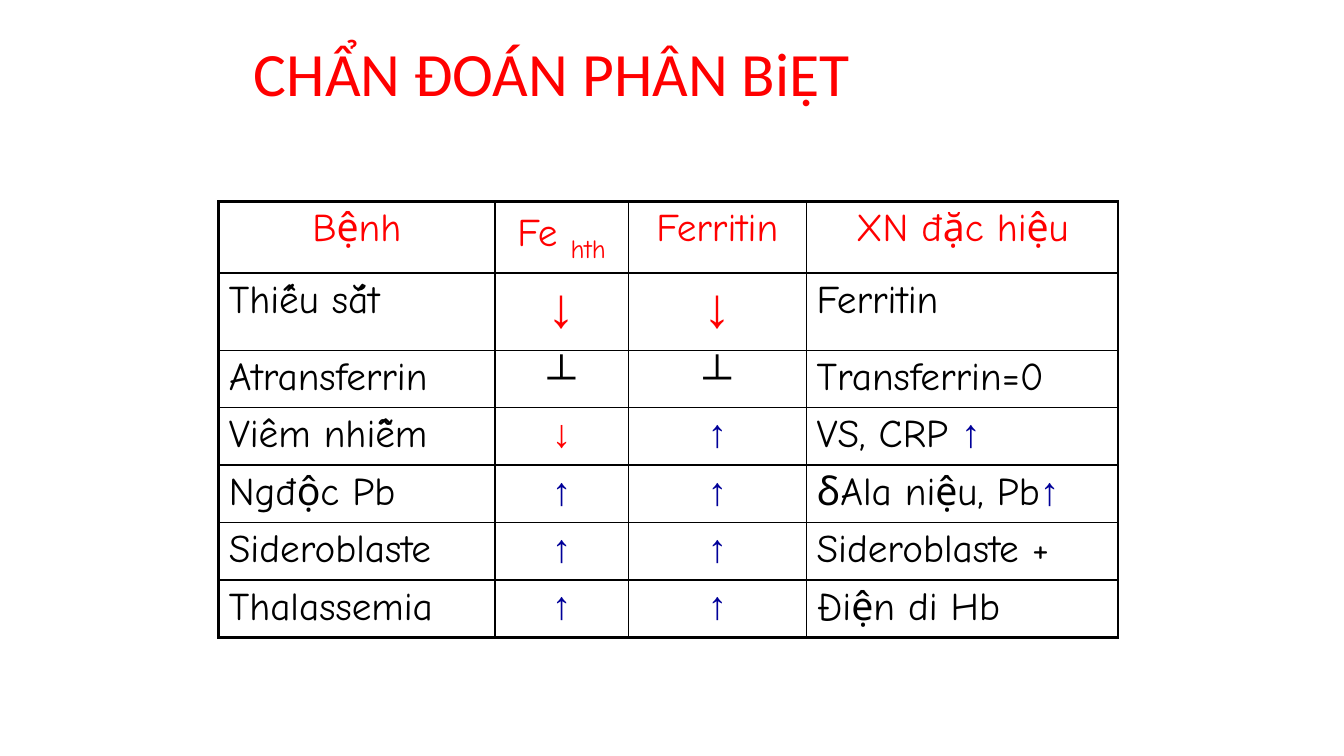
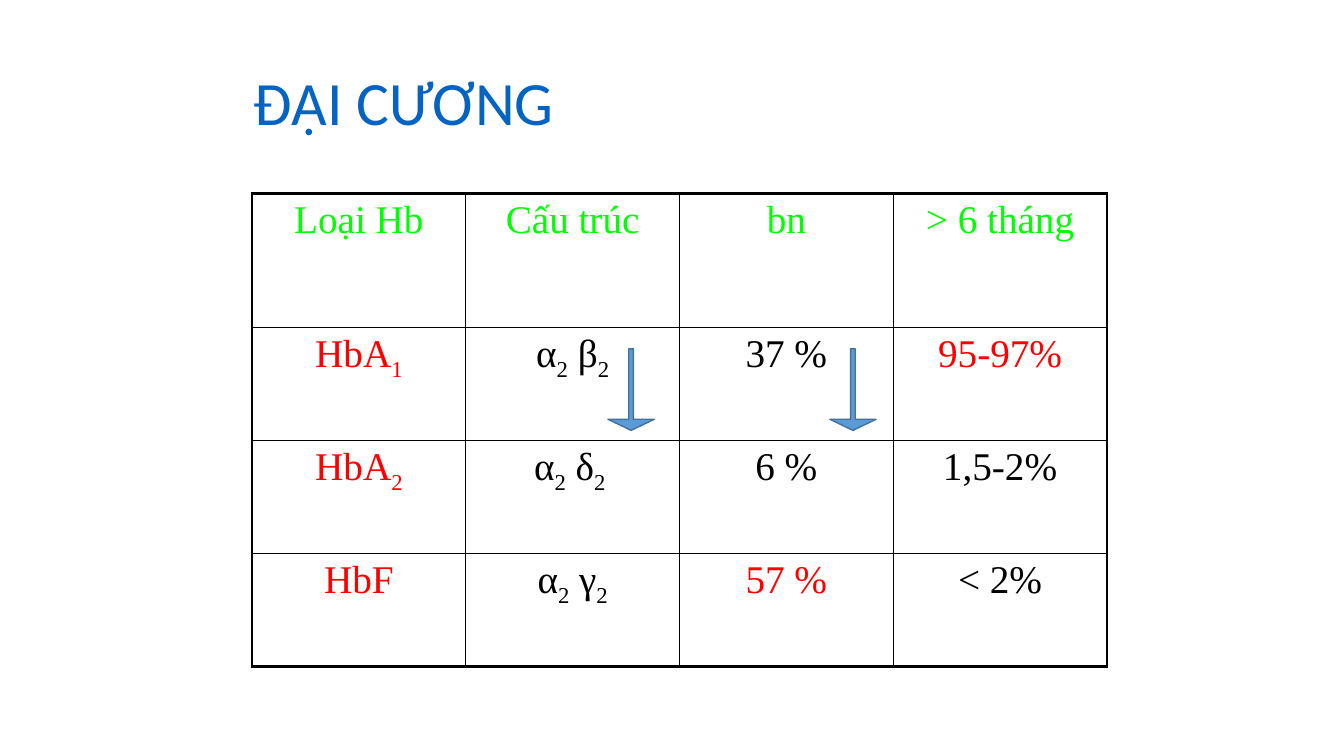
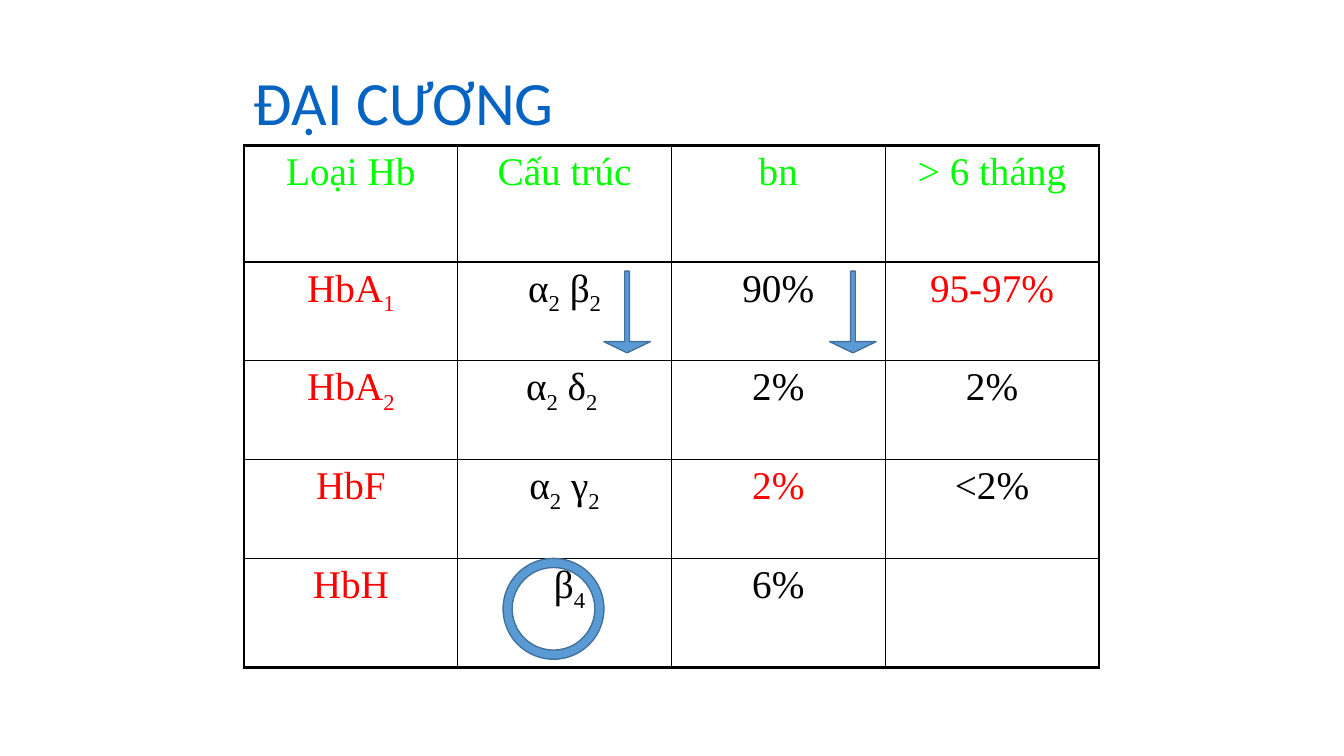
import dataclasses

import lxml.etree
import pptx
import pptx.dml.color
import pptx.enum.shapes
import pptx.enum.text
import pptx.oxml.ns
import pptx.util

Inches = pptx.util.Inches
Pt = pptx.util.Pt
Shapes = pptx.enum.shapes.MSO_SHAPE
Align = pptx.enum.text.PP_ALIGN


@dataclasses.dataclass(frozen=True)
class Theme:
    black: str = "000000"
    red: str = "FF0000"
    green: str = "00FF00"
    navy: str = "000099"
    title_blue: str = "0563C1"
    mark_fill: str = "5B9BD5"
    mark_line: str = "42719B"
    title_font: str = "Calibri"
    serif_font: str = "Times New Roman"
    comic_font: str = "Comic Neue"
    title_size: float = 44
    large_arrow_size: float = 40
    index_size: float = 32
    body_size: float = 28
    outer_border: float = 2.25
    inner_border: float = 1


THEME = Theme()


@dataclasses.dataclass(frozen=True)
class Run:
    text: str
    color: str = THEME.black
    font: str = THEME.serif_font
    size: float = THEME.body_size
    subscript: bool = False


def rgb(color):
    return pptx.dml.color.RGBColor.from_string(color)


def add_runs(para, runs):
    for run in runs:
        span = para.add_run()
        span.text = run.text
        span.font.name = run.font
        span.font.size = Pt(run.size)
        span.font.color.rgb = rgb(run.color)
        if run.subscript:
            span.font._element.set("baseline", "-25000")


def add_title(slide, text, color, left, top, width, height):
    box = slide.shapes.add_textbox(Inches(left), Inches(top), Inches(width), Inches(height))
    frame = box.text_frame
    frame.word_wrap = True
    frame.vertical_anchor = pptx.enum.text.MSO_ANCHOR.MIDDLE
    para = frame.paragraphs[0]
    para.line_spacing = 0.9
    add_runs(para, [Run(text, color, THEME.title_font, THEME.title_size)])


def set_borders(cell, widths):
    """Draw black borders; widths are points for left, right, top, bottom."""
    properties = cell._tc.get_or_add_tcPr()
    qn = pptx.oxml.ns.qn
    for index, (side, width) in enumerate(zip("LRTB", widths)):
        line = lxml.etree.Element(qn(f"a:ln{side}"), w=str(Pt(width)))
        fill = lxml.etree.SubElement(line, qn("a:solidFill"))
        lxml.etree.SubElement(fill, qn("a:srgbClr"), val=THEME.black)
        properties.insert(index, line)


def add_grid(slide, left, top, widths, heights, rows, align_for):
    """Add a table of run lists; align_for(row, column) gives the alignment."""
    frame = slide.shapes.add_table(
        len(heights), len(widths), Inches(left), Inches(top),
        Inches(sum(widths)), Inches(sum(heights)))
    table = frame.table
    table.first_row = False
    table.horz_banding = False
    for column, width in zip(table.columns, widths):
        column.width = Inches(width)
    for row, height in zip(table.rows, heights):
        row.height = Inches(height)
    last_row, last_column = len(heights) - 1, len(widths) - 1
    for r, row in enumerate(rows):
        for c, runs in enumerate(row):
            cell = table.cell(r, c)
            cell.fill.background()
            on_edge = (c == 0, c == last_column, r == 0, r == last_row)
            set_borders(cell, [THEME.outer_border if edge else THEME.inner_border
                               for edge in on_edge])
            para = cell.text_frame.paragraphs[0]
            para.alignment = align_for(r, c)
            add_runs(para, runs)


def add_mark(slide, kind, left, top, width, height, adjustments):
    mark = slide.shapes.add_shape(
        kind, Inches(left), Inches(top), Inches(width), Inches(height))
    mark.shadow.inherit = False
    mark.fill.solid()
    mark.fill.fore_color.rgb = rgb(THEME.mark_fill)
    mark.line.color.rgb = rgb(THEME.mark_line)
    mark.line.width = Pt(1)
    for index, value in enumerate(adjustments):
        mark.adjustments[index] = value


def add_down_arrow(slide, left, top):
    add_mark(slide, Shapes.DOWN_ARROW, left, top, 0.46, 0.81, (0.1, 0.24))


def comic(text, color=THEME.black):
    return Run(text, color, THEME.comic_font)


def formula(text, color=THEME.black):
    """Split text at bars; every second piece is a subscript."""
    return [Run(piece, color, subscript=index % 2 == 1)
            for index, piece in enumerate(text.split("|")) if piece]


def hemoglobin_rows(body, red_values):
    """Build runs: green header, red first column and red chosen values."""
    header = ["Loại Hb", "Cấu trúc", "bn", "> 6 tháng"]
    rows = [[[Run(text, THEME.green)] for text in header]]
    for r, row in enumerate(body, start=1):
        rows.append([
            formula(text, THEME.red if c == 0 or (r, c) in red_values else THEME.black)
            for c, text in enumerate(row)])
    return rows


def add_differential_slide(deck, blank):
    slide = deck.slides.add_slide(blank)
    add_title(slide, "CHẨN ĐOÁN PHÂN BiỆT", THEME.red, 2.42, 0.17, 7.51, 1.17)
    up = Run("↑", THEME.navy)
    down = Run("↓", THEME.red)
    large_down = dataclasses.replace(down, size=THEME.large_arrow_size)
    normal = Run("┴")
    index = Run("hth", THEME.red, THEME.comic_font, THEME.index_size, True)
    header = [[comic("Bệnh", THEME.red)], [comic("Fe ", THEME.red), index],
              [comic("Ferritin", THEME.red)], [comic("XN đặc hiệu", THEME.red)]]
    body = [
        ("Thiếu sắt", large_down, large_down, [comic("Ferritin")]),
        ("Atransferrin", normal, normal, [comic("Transferrin=0")]),
        ("Viêm nhiễm", down, up, [comic("VS, CRP "), up]),
        ("Ngđộc Pb", up, up, [comic("δAla niệu, Pb"), up]),
        ("Sideroblaste", up, up, [comic("Sideroblaste +")]),
        ("Thalassemia", up, up, [comic("Điện di Hb")]),
    ]
    rows = [header] + [[[comic(disease)], [iron], [ferritin], test]
                       for disease, iron, ferritin, test in body]
    add_grid(slide, 2.17, 2, [2.74, 1.32, 1.77, 3.09], [0.57] * len(rows), rows,
             lambda r, c: Align.CENTER if r == 0 or c in (1, 2) else Align.LEFT)


def add_hemoglobin_slide(deck, blank, left, top, heights, body, red_values,
                         arrow_lefts, arrow_top):
    slide = deck.slides.add_slide(blank)
    add_title(slide, "ĐẠI CƯƠNG", THEME.title_blue, 2.42, 0.42, 8.5, 1.25)
    add_grid(slide, left, top, [2.12] * 4, heights,
             hemoglobin_rows(body, red_values), lambda r, c: Align.CENTER)
    for arrow_left in arrow_lefts:
        add_down_arrow(slide, arrow_left, arrow_top)
    return slide


def main():
    deck = pptx.Presentation()
    deck.slide_width, deck.slide_height = Inches(13.33), Inches(7.5)
    blank = deck.slide_layouts[6]

    add_differential_slide(deck, blank)
    red_values = {(1, 3), (3, 2)}
    add_hemoglobin_slide(
        deck, blank, 2.5, 1.92, [1.33] + [1.12] * 3,
        [("HbA|1", "α|2| β|2", "37 %", "95-97%"),
         ("HbA|2", "α|2| δ|2 ", "6 %", "1,5-2%"),
         ("HbF", "α|2| γ|2", "57 %", "< 2%")],
        red_values, (8.23, 6.03), 3.46)
    slide = add_hemoglobin_slide(
        deck, blank, 2.42, 1.44, [1.16] + [0.98] * 3 + [1.08],
        [("HbA|1", "α|2| β|2", "90%", "95-97%"),
         ("HbA|2", "α|2| δ|2 ", "2%", "2%"),
         ("HbF", "α|2| γ|2", "2%", "<2%"),
         ("HbH", " β|4", "6%", "")],
        red_values, (8.23, 5.99), 2.69)
    add_mark(slide, Shapes.DONUT, 4.99, 5.54, 1, 1, (0.09,))

    deck.save("out.pptx")


if __name__ == "__main__":
    main()
